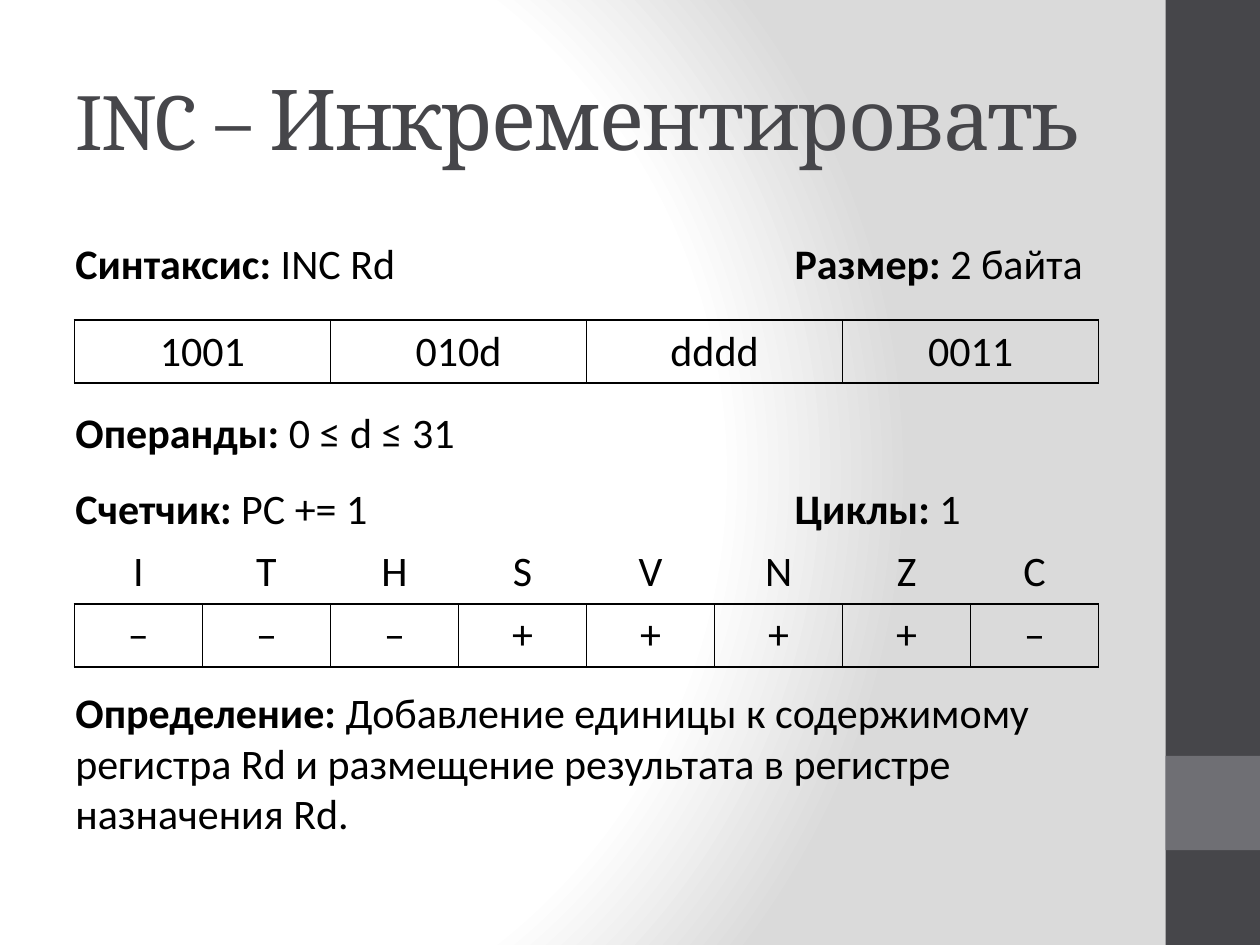
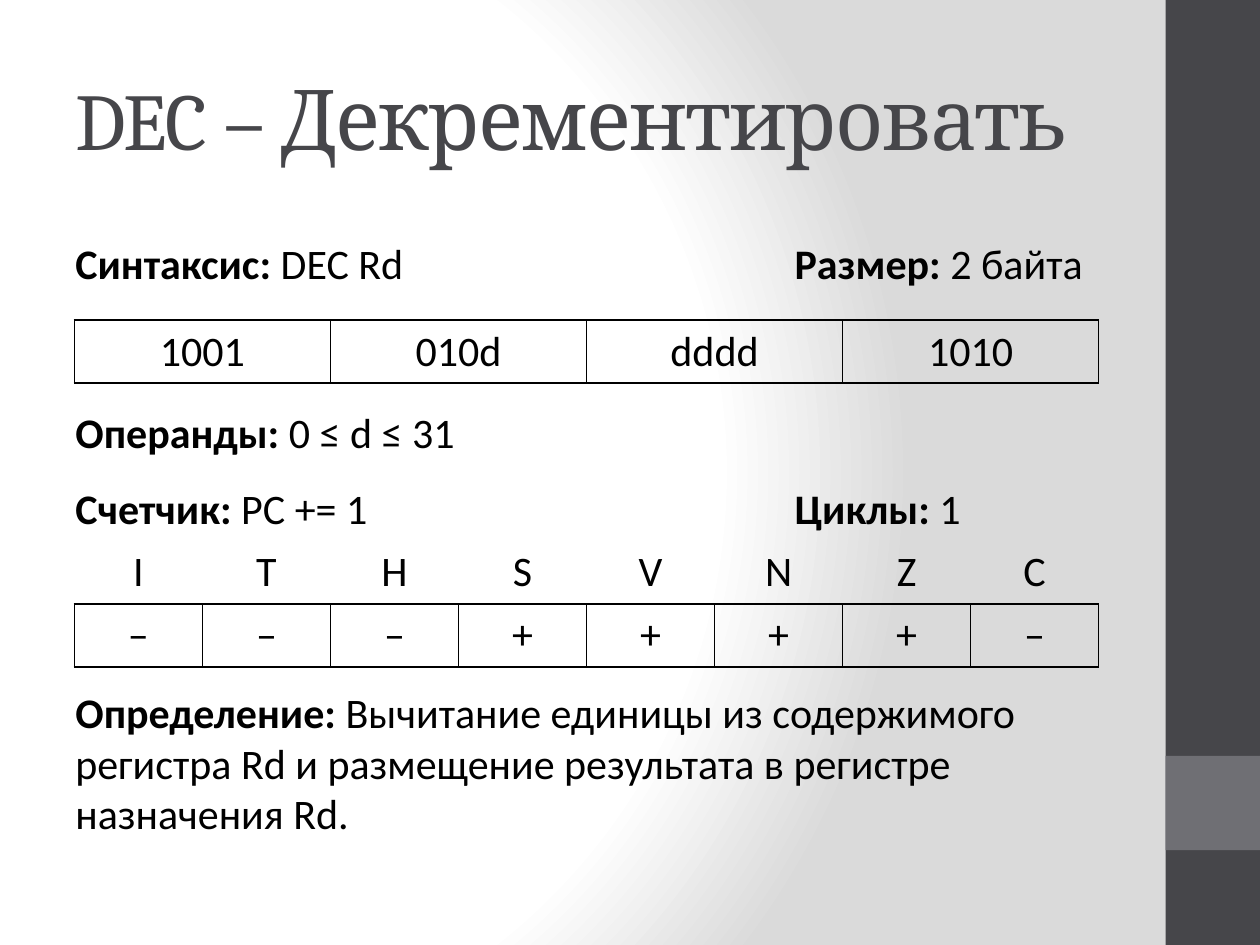
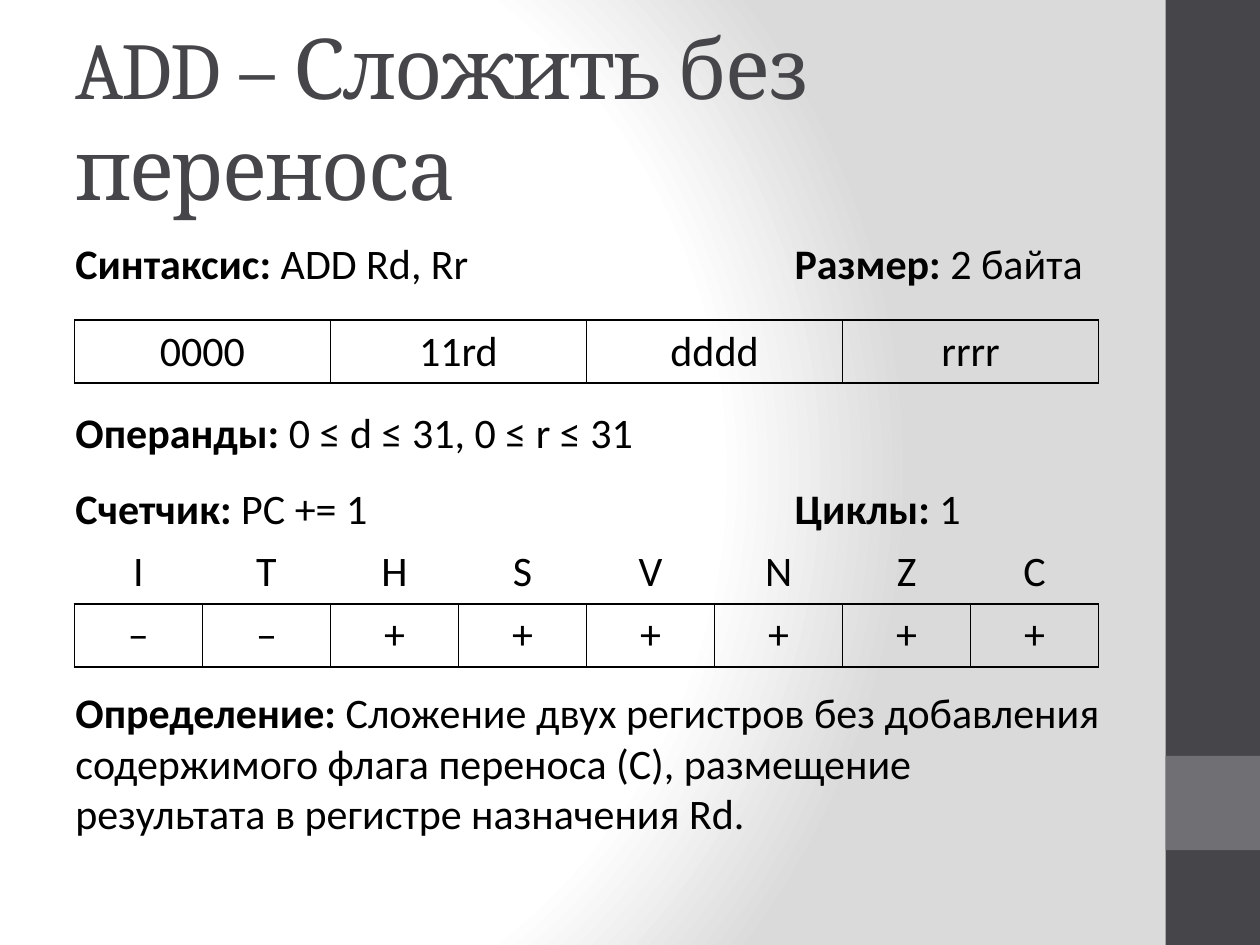
from dataclasses import dataclass

from lxml import etree
from pptx import Presentation
from pptx.dml.color import RGBColor
from pptx.enum.shapes import MSO_SHAPE
from pptx.enum.text import MSO_ANCHOR, MSO_AUTO_SIZE, PP_ALIGN
from pptx.oxml.ns import qn
from pptx.util import Cm, Pt

RECTANGLE = MSO_SHAPE.RECTANGLE
MIDDLE = MSO_ANCHOR.MIDDLE
GROW = MSO_AUTO_SIZE.SHAPE_TO_FIT_TEXT
CENTER = PP_ALIGN.CENTER

DARK, GREY, BLACK = "46464A", "6F6F74", "000000"
BACKGROUND_STOPS = ((0, "FFFFFF"), (75, "FFFFFF"), (100, "DADADA"))
BACKGROUND_FOCUS = {"l": 20, "t": 50, "r": 100, "b": 50}
TITLE_FONT, BODY_FONT, BODY_SIZE = "Cambria", "Calibri", 24
PLAIN_TABLE = "{2D5ABB26-0587-4C30-8999-92F81FD0307C}"

PAGE_WIDTH, PAGE_HEIGHT = 25.4, 19.05
BAND_WIDTH = 1.9
LEFT, RIGHT_COLUMN, TEXT_WIDTH = 1.27, 15.77, 21.16
TABLE_LEFT, TABLE_WIDTH = 1.5, 20.65
LINE_HEIGHT = 1.27
FLAGS = "ITHSVNZC"


@dataclass
class Instruction:
    """One processor instruction and the facts its slide shows."""

    mnemonic: str
    name: str
    syntax: str
    syntax_width: float
    opcode: str
    operands: str
    flags: str
    definition: str


INSTRUCTIONS = (
    Instruction(
        "INC", "Инкрементировать", "INC Rd", 7.04, "1001 010d dddd 0011",
        "0 ≤ d ≤ 31", "–––++++–",
        "Добавление единицы к содержимому регистра Rd и размещение "
        "результата в регистре назначения Rd."),
    Instruction(
        "DEC", "Декрементировать", "DEC Rd", 7.21, "1001 010d dddd 1010",
        "0 ≤ d ≤ 31", "–––++++–",
        "Вычитание единицы из содержимого регистра Rd и размещение "
        "результата в регистре назначения Rd."),
    Instruction(
        "ADD", "Сложить без переноса", "ADD Rd, Rr", 8.53,
        "0000 11rd dddd rrrr", "0 ≤ d ≤ 31, 0 ≤ r ≤ 31", "––++++++",
        "Сложение двух регистров без добавления содержимого флага переноса "
        "(С), размещение результата в регистре назначения Rd."),
)


def color(value):
    """Turn a hex string into a colour."""
    return RGBColor.from_string(value)


def set_font(font, name, size, value):
    """Set the face, size and colour of a font."""
    font.name = name
    font.size = Pt(size)
    font.color.rgb = color(value)


def set_background(master):
    """Give the master the circular white-to-grey gradient."""
    master.background.fill.gradient()
    gradient = master.element.find(".//" + qn("a:gradFill"))
    for child in list(gradient):
        gradient.remove(child)
    stops = etree.SubElement(gradient, qn("a:gsLst"))
    for position, value in BACKGROUND_STOPS:
        stop = etree.SubElement(stops, qn("a:gs"), pos=str(position * 1000))
        etree.SubElement(stop, qn("a:srgbClr"), val=value)
    circle = etree.SubElement(gradient, qn("a:path"), path="circle")
    focus = {side: str(share * 1000) for side, share in BACKGROUND_FOCUS.items()}
    etree.SubElement(circle, qn("a:fillToRect"), focus)


def add_band(page, top, height, value):
    """Draw a plain block of the band on the right edge."""
    band = page.shapes.add_shape(
        RECTANGLE, Cm(PAGE_WIDTH - BAND_WIDTH), Cm(top), Cm(BAND_WIDTH), Cm(height))
    band.shadow.inherit = False
    band.fill.solid()
    band.fill.fore_color.rgb = color(value)
    band.line.fill.background()


def add_title(page, mnemonic, name):
    """Write the mnemonic and, slightly larger, its meaning."""
    box = page.shapes.add_textbox(Cm(LEFT), Cm(0.76), Cm(TEXT_WIDTH), Cm(3.18))
    frame = box.text_frame
    frame.word_wrap = True
    frame.vertical_anchor = MIDDLE
    para = frame.paragraphs[0]
    for text, size in ((mnemonic + " ", 46), ("– " + name, 48)):
        span = para.add_run()
        span.text = text
        set_font(span.font, TITLE_FONT, size, DARK)
        span.font._element.set("spc", "-100")


def add_fact(page, label, value, left, top, width, height=LINE_HEIGHT, wrap=False):
    """Write a bold label followed by its value."""
    box = page.shapes.add_textbox(Cm(left), Cm(top), Cm(width), Cm(height))
    frame = box.text_frame
    frame.word_wrap = wrap
    frame.auto_size = GROW
    para = frame.paragraphs[0]
    set_font(para.font, BODY_FONT, BODY_SIZE, BLACK)
    for text, bold in ((label + ": ", True), (value, False)):
        span = para.add_run()
        span.text = text
        span.font.bold = bold
        set_font(span.font, BODY_FONT, BODY_SIZE, BLACK)


def add_borders(cell, sides):
    """Draw thin black lines on the given sides of a cell."""
    properties = cell._tc.get_or_add_tcPr()
    for index, side in enumerate(sides):
        line = etree.Element(qn("a:ln" + side), w=str(Pt(1)))
        fill = etree.SubElement(line, qn("a:solidFill"))
        etree.SubElement(fill, qn("a:srgbClr"), val=BLACK)
        properties.insert(index, line)


def add_bits(page, rows, top):
    """Add a table of centred cells whose last row is boxed."""
    count = len(rows[0])
    frame = page.shapes.add_table(
        len(rows), count, Cm(TABLE_LEFT), Cm(top),
        Cm(TABLE_WIDTH), Cm(LINE_HEIGHT * len(rows)))
    table = frame.table
    table.first_row = table.horz_banding = False
    table._tbl.tblPr.find(qn("a:tableStyleId")).text = PLAIN_TABLE
    for column in table.columns:
        column.width = Cm(TABLE_WIDTH / count)
    for row_index, row in enumerate(rows):
        boxed = row is rows[-1]
        for column_index, text in enumerate(row):
            cell = table.cell(row_index, column_index)
            cell.text = text
            cell.fill.background()
            para = cell.text_frame.paragraphs[0]
            para.alignment = CENTER
            set_font(para.font, BODY_FONT, BODY_SIZE, BLACK)
            add_borders(cell, "LRTB" if boxed else "B")


def add_instruction(deck, item):
    """Build the slide of one instruction."""
    page = deck.slides.add_slide(deck.slide_layouts[6])
    add_band(page, 0, PAGE_HEIGHT, DARK)
    add_band(page, 15.24, BAND_WIDTH, GREY)
    add_title(page, item.mnemonic, item.name)
    add_fact(page, "Определение", item.definition, LEFT, 13.72, TEXT_WIDTH, 3.33, True)
    add_fact(page, "Синтаксис", item.syntax, LEFT, 4.67, item.syntax_width)
    add_fact(page, "Размер", "2 байта", RIGHT_COLUMN, 4.67, 6.38)
    add_bits(page, [item.opcode.split()], 6.45)
    add_fact(page, "Счетчик", "PC += 1", LEFT, 9.6, 6.65)
    add_fact(page, "Операнды", item.operands, LEFT, 8.08, TEXT_WIDTH, wrap=True)
    add_bits(page, [FLAGS, item.flags], 10.9)
    add_fact(page, "Циклы", "1", RIGHT_COLUMN, 9.6, 3.89)


def main():
    """Build the deck and save it."""
    deck = Presentation()
    deck.slide_width, deck.slide_height = Cm(PAGE_WIDTH), Cm(PAGE_HEIGHT)
    set_background(deck.slide_master)
    for item in INSTRUCTIONS:
        add_instruction(deck, item)
    deck.save("out.pptx")


main()
